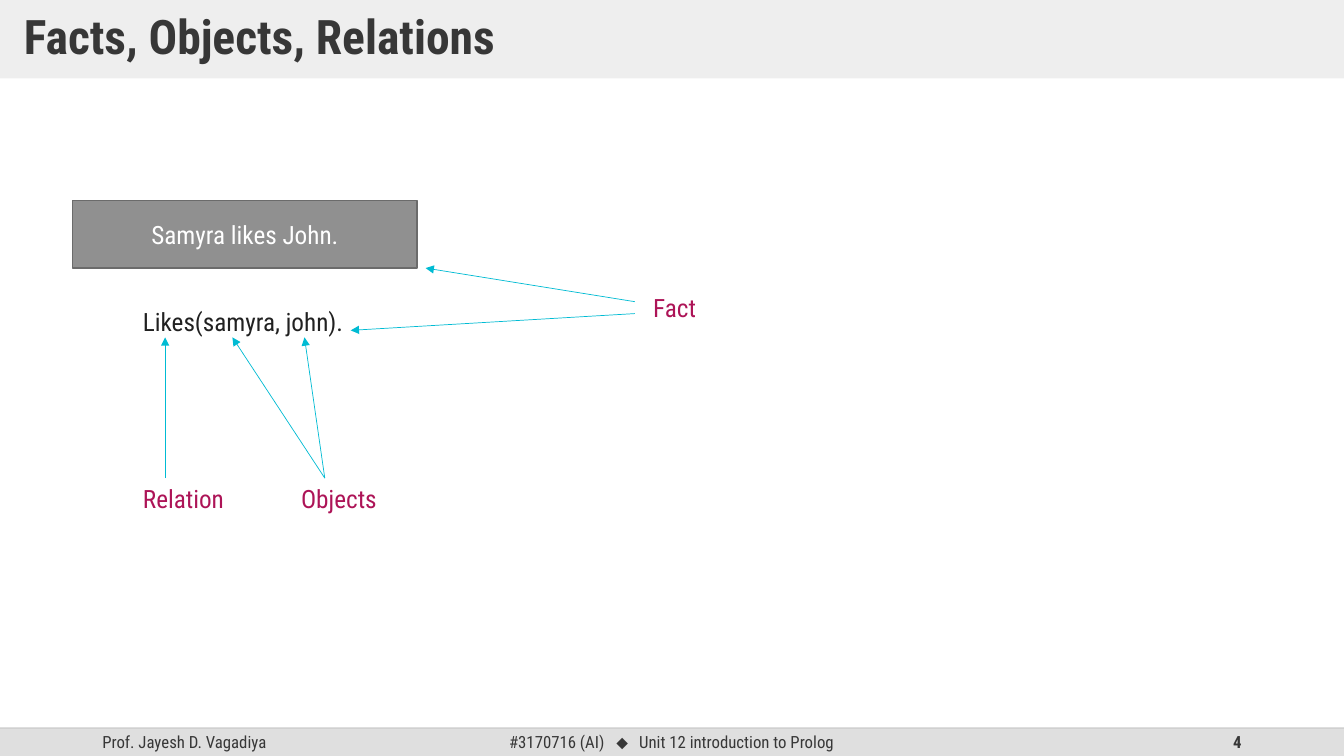
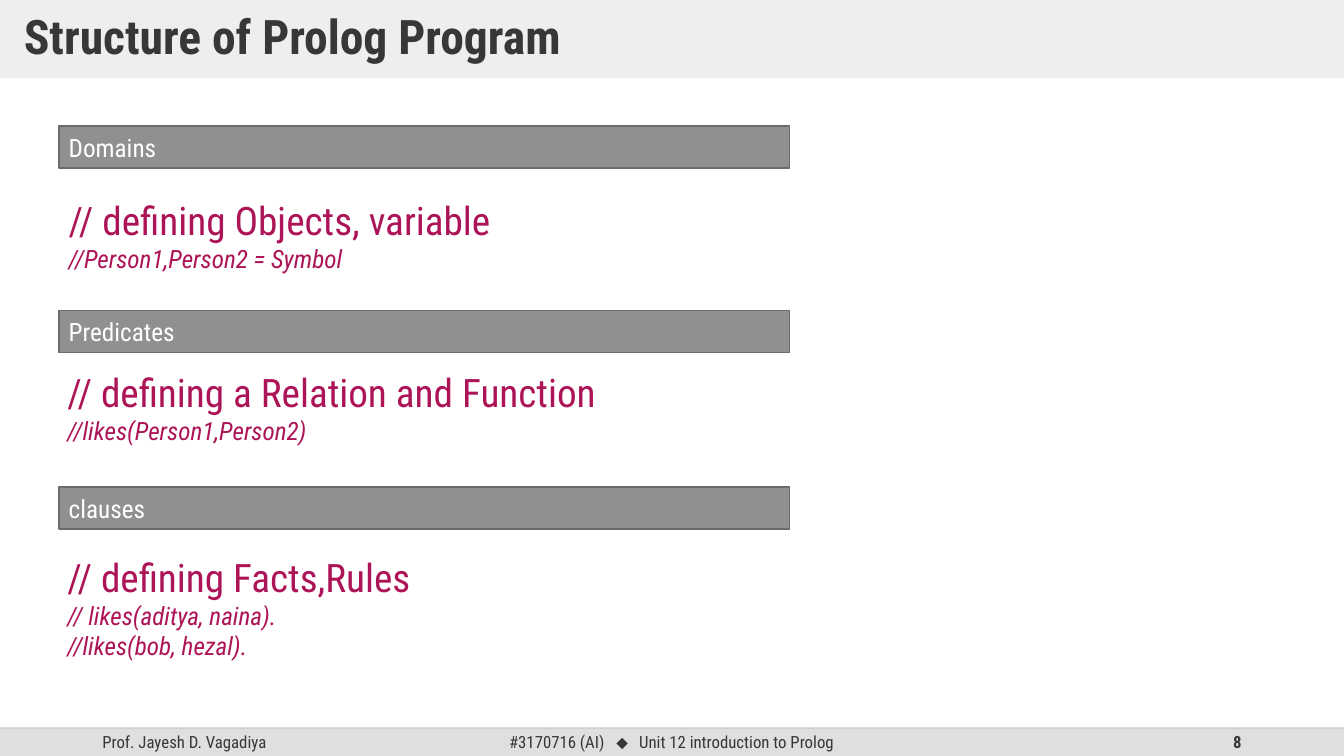
import dataclasses

import lxml.etree
import pptx
import pptx.dml.color
import pptx.enum.shapes
import pptx.enum.text
import pptx.oxml.ns
import pptx.util

Pt = pptx.util.Pt
qn = pptx.oxml.ns.qn
ALIGN = pptx.enum.text.PP_ALIGN
ANCHOR = pptx.enum.text.MSO_ANCHOR


@dataclasses.dataclass(frozen=True)
class Theme:
    font: str = "Roboto Condensed"
    sign: str = "Arial"
    dark: str = "373737"
    ink: str = "212121"
    white: str = "FFFFFF"
    accent: str = "AD1457"
    arrow: str = "00BBD3"
    band: str = "DFDFDF"
    rule: str = "BFBFBF"
    panel: str = "909090"
    edge: str = "6B6B6B"
    title: int = 34
    head: int = 28
    body: int = 18
    small: int = 12


THEME = Theme()
WIDE, HIGH = 960, 540
FOOT = 520


def rgb(value):
    return pptx.dml.color.RGBColor.from_string(value)


def fade(item, percent):
    color = next(item.element.iter(qn("a:srgbClr")))
    alpha = lxml.etree.SubElement(color, qn("a:alpha"))
    alpha.set("val", str(percent * 1000))


def write(frame, text, size=THEME.body, color=THEME.accent, font=THEME.font,
          bold=False, italic=False, align=ALIGN.LEFT, lead=None):
    para = frame.paragraphs[0]
    if para.runs:
        para = frame.add_paragraph()
    para.alignment = align
    para.line_spacing = lead
    run = para.add_run()
    run.text = text
    run.font.name = font
    run.font.size = Pt(size)
    run.font.bold = bold
    run.font.italic = italic
    run.font.color.rgb = rgb(color)


def panel(slide, left, top, width, height, fill=THEME.panel, edge=None):
    kind = pptx.enum.shapes.MSO_SHAPE.RECTANGLE
    shape = slide.shapes.add_shape(kind, Pt(left), Pt(top), Pt(width), Pt(height))
    shape.shadow.inherit = False
    shape.fill.solid()
    shape.fill.fore_color.rgb = rgb(fill)
    if edge:
        shape.line.color.rgb = rgb(edge)
        shape.line.width = Pt(1)
    else:
        shape.line.fill.background()
    shape.text_frame.vertical_anchor = ANCHOR.MIDDLE
    return shape


def block(slide, left, top, width, height, anchor=ANCHOR.TOP):
    frame = slide.shapes.add_textbox(
        Pt(left), Pt(top), Pt(width), Pt(height)).text_frame
    frame.word_wrap = True
    frame.vertical_anchor = anchor
    return frame


def line(slide, start, end, color, width):
    kind = pptx.enum.shapes.MSO_CONNECTOR.STRAIGHT
    link = slide.shapes.add_connector(kind, *map(Pt, start + end))
    link.line.color.rgb = rgb(color)
    link.line.width = Pt(width)
    lxml.etree.SubElement(link.element.spPr, qn("a:effectLst"))
    return link


def arrow(slide, start, end):
    link = line(slide, start, end, THEME.arrow, 0.5)
    stroke = link.element.spPr.find(qn("a:ln"))
    lxml.etree.SubElement(stroke, qn("a:tailEnd")).set("type", "triangle")


def footer(slide, number):
    panel(slide, 0, FOOT, WIDE, HIGH - FOOT, THEME.band)
    parts = [
        (66, 216, "Prof. Jayesh D. Vagadiya", {}),
        (289, 150, "#3170716 (AI)", {"align": ALIGN.RIGHT}),
        (429, 31, "⬥", {"align": ALIGN.CENTER, "font": THEME.sign}),
        (449.5, 200, "Unit 12 introduction to Prolog", {}),
        (678, 216, str(number), {"align": ALIGN.RIGHT, "bold": True}),
    ]
    for left, width, text, style in parts:
        frame = block(slide, left, FOOT, width, HIGH - FOOT, ANCHOR.MIDDLE)
        write(frame, text, size=THEME.small, color=THEME.dark, **style)
    fade(line(slide, (0, FOOT), (WIDE, FOOT), THEME.rule, 1), 70)


def page(deck, title, number):
    slide = deck.slides.add_slide(deck.slide_layouts[6])
    footer(slide, number)
    band = panel(slide, 0, 0, WIDE, 56, THEME.band)
    fade(band, 50)
    frame = band.text_frame
    frame.margin_left = frame.margin_right = Pt(17)
    frame.margin_top = frame.margin_bottom = Pt(8.5)
    write(frame, title, size=THEME.title, color=THEME.dark, bold=True, lead=0.9)
    return slide


def facts(deck):
    slide = page(deck, "Facts, Objects, Relations", 4)
    claim = panel(slide, 52, 143, 246, 48.5, edge=THEME.edge)
    write(claim.text_frame, "Samyra likes John.",
          color=THEME.white, align=ALIGN.CENTER)
    labels = [
        (95, 215.5, 170, "Likes(samyra, john).", THEME.ink),
        (459.5, 205.5, 60, "Fact", THEME.accent),
        (95, 341.5, 90, "Relation", THEME.accent),
        (208, 341.5, 90, "Objects", THEME.accent),
    ]
    for left, top, width, text, color in labels:
        write(block(slide, left, top, width, 29), text, color=color)
    links = [
        ((453.5, 215.5), (304, 191.5)),
        ((453.5, 224), (250.5, 236)),
        ((118, 341.5), (118, 241)),
        ((232, 341.5), (166, 241)),
        ((232, 341.5), (217.5, 241)),
    ]
    for start, end in links:
        arrow(slide, start, end)


def program(deck):
    slide = page(deck, "Structure of Prolog Program", 8)
    parts = [
        (90, "Domains", 42, 137, "// defining Objects, variable",
         ["//Person1,Person2 = Symbol"]),
        (222, "Predicates", 41, 259.5, "// defining a Relation and Function",
         ["//likes(Person1,Person2)"]),
        (348, "clauses", 41, 391.5, "// defining Facts,Rules",
         ["// likes(aditya, naina).", "//likes(bob, hezal)."]),
    ]
    for top, name, left, below, head, codes in parts:
        bar = panel(slide, 42, top, 522, 30, edge=THEME.edge)
        write(bar.text_frame, name, color=THEME.white)
        frame = block(slide, left, below, 430, 42 + 22 * len(codes))
        write(frame, head, size=THEME.head)
        for code in codes:
            write(frame, code, italic=True)


def main():
    deck = pptx.Presentation()
    deck.slide_width, deck.slide_height = Pt(WIDE), Pt(HIGH)
    facts(deck)
    program(deck)
    deck.save("out.pptx")


if __name__ == "__main__":
    main()
